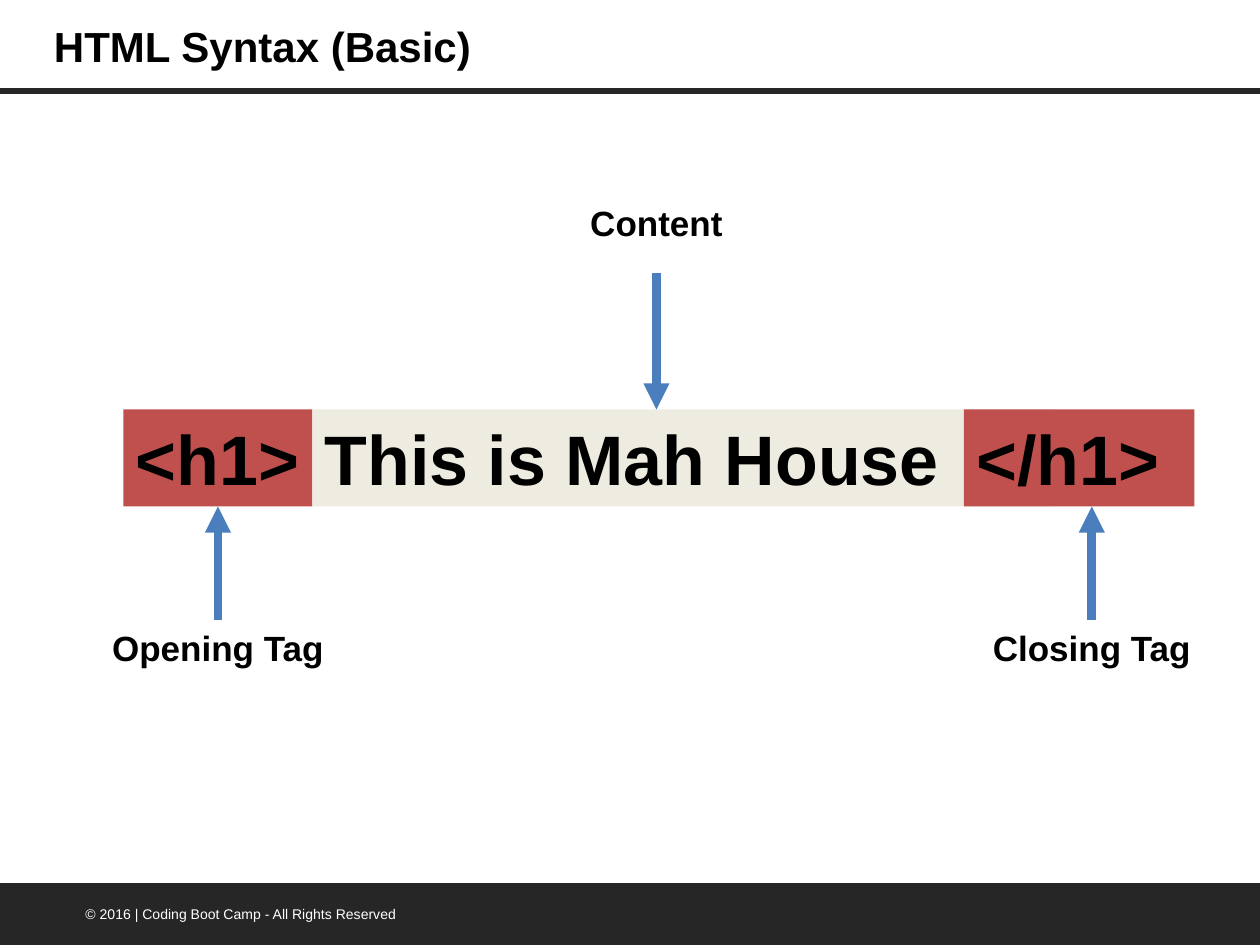
"""Build a slide that labels the parts of a basic HTML element."""
from lxml.etree import SubElement
from pptx import Presentation
from pptx.dml.color import RGBColor
from pptx.enum.shapes import MSO_CONNECTOR as Connector, MSO_SHAPE as Shape
from pptx.enum.text import MSO_ANCHOR as Anchor, PP_ALIGN as Align
from pptx.oxml.ns import qn
from pptx.util import Inches, Pt

COLORS = {"black": "000000", "white": "FFFFFF", "dark": "262626",
          "tag": "C0504D", "content": "EEECE1", "arrow": "4B7EBC"}
TITLE = "HTML Syntax (Basic)"
FOOTER = "© 2016 | Coding Boot Camp - All Rights Reserved"
ELEMENT_TOP, ELEMENT_HEIGHT = 3.25, 0.77
ELEMENT_PARTS = [
    ("<h1>", 0.98, 1.5, "tag"),
    ("This is Mah House", 2.48, 5.88, "content"),
    ("</h1>", 7.65, 1.83, "tag"),
]
LABEL_HEIGHT = 0.44
TAG_LABELS = [("Opening Tag", 0.78, 4.92, 1.9), ("Closing Tag", 7.77, 4.92, 1.79)]
CONTENT_LABEL = ("Content", 4.54, 1.55, 1.34)
CONTENT_ARROW_TOP = 2.17


def color(name):
    return RGBColor.from_string(COLORS[name])


def write(shape, text, size, name="black", bold=True, wrap=True,
          anchor=Anchor.TOP, align=Align.LEFT):
    frame = shape.text_frame
    frame.word_wrap = wrap
    frame.vertical_anchor = anchor
    paragraph = frame.paragraphs[0]
    paragraph.text = text
    paragraph.alignment = align
    font = paragraph.font
    font.name, font.size, font.bold = "Arial", Pt(size), bold
    font.color.rgb = color(name)


def add_text(slide, box, text, size, **style):
    shape = slide.shapes.add_textbox(*map(Inches, box))
    write(shape, text, size, **style)
    return shape


def add_block(slide, kind, box, fill):
    shape = slide.shapes.add_shape(kind, *map(Inches, box))
    shape.shadow.inherit = False
    shape.fill.solid()
    shape.fill.fore_color.rgb = color(fill)
    shape.line.fill.background()
    return shape


def add_line(slide, start, end, name, width, arrow=False):
    line = slide.shapes.add_connector(Connector.STRAIGHT, *map(Inches, start + end))
    line.line.color.rgb = color(name)
    line.line.width = Pt(width)
    if arrow:
        SubElement(line.line._get_or_add_ln(), qn("a:tailEnd"), type="triangle")
    SubElement(line._element.spPr, qn("a:effectLst"))
    return line


def add_label(slide, text, left, top, width):
    return add_text(slide, (left, top, width, LABEL_HEIGHT), text, 20,
                    wrap=False, align=Align.CENTER)


def main():
    presentation = Presentation()
    presentation.slide_width, presentation.slide_height = Inches(10), Inches(7.5)
    slide = presentation.slides.add_slide(presentation.slide_layouts[6])

    add_line(slide, (0, 0.72), (10, 0.72), "dark", 3.25)
    add_block(slide, Shape.FLOWCHART_PROCESS, (-0.01, 7.01, 10.01, 0.5), "dark")
    add_text(slide, (0.58, 7.14, 3.05, 0.24), FOOTER, 8, name="white", bold=False)
    add_text(slide, (0.33, 0, 7.5, 0.72), TITLE, 24, anchor=Anchor.MIDDLE)

    blocks = []
    for text, left, width, fill in ELEMENT_PARTS:
        box = (left, ELEMENT_TOP, width, ELEMENT_HEIGHT)
        block = add_block(slide, Shape.RECTANGLE, box, fill)
        write(block, text, 40)
        blocks.append(block)

    arrows = []
    for text, left, top, width in TAG_LABELS:
        label = add_label(slide, text, left, top, width)
        center = left + width / 2
        arrow = add_line(slide, (center, top), (center, ELEMENT_TOP + ELEMENT_HEIGHT),
                         "arrow", 5, arrow=True)
        arrow.begin_connect(label, 0)
        arrows.append(arrow)
    arrows[0].end_connect(blocks[0], 2)

    add_label(slide, *CONTENT_LABEL)
    center = CONTENT_LABEL[1] + CONTENT_LABEL[3] / 2
    add_line(slide, (center, CONTENT_ARROW_TOP), (center, ELEMENT_TOP),
             "arrow", 5, arrow=True)

    presentation.save("out.pptx")


if __name__ == "__main__":
    main()
